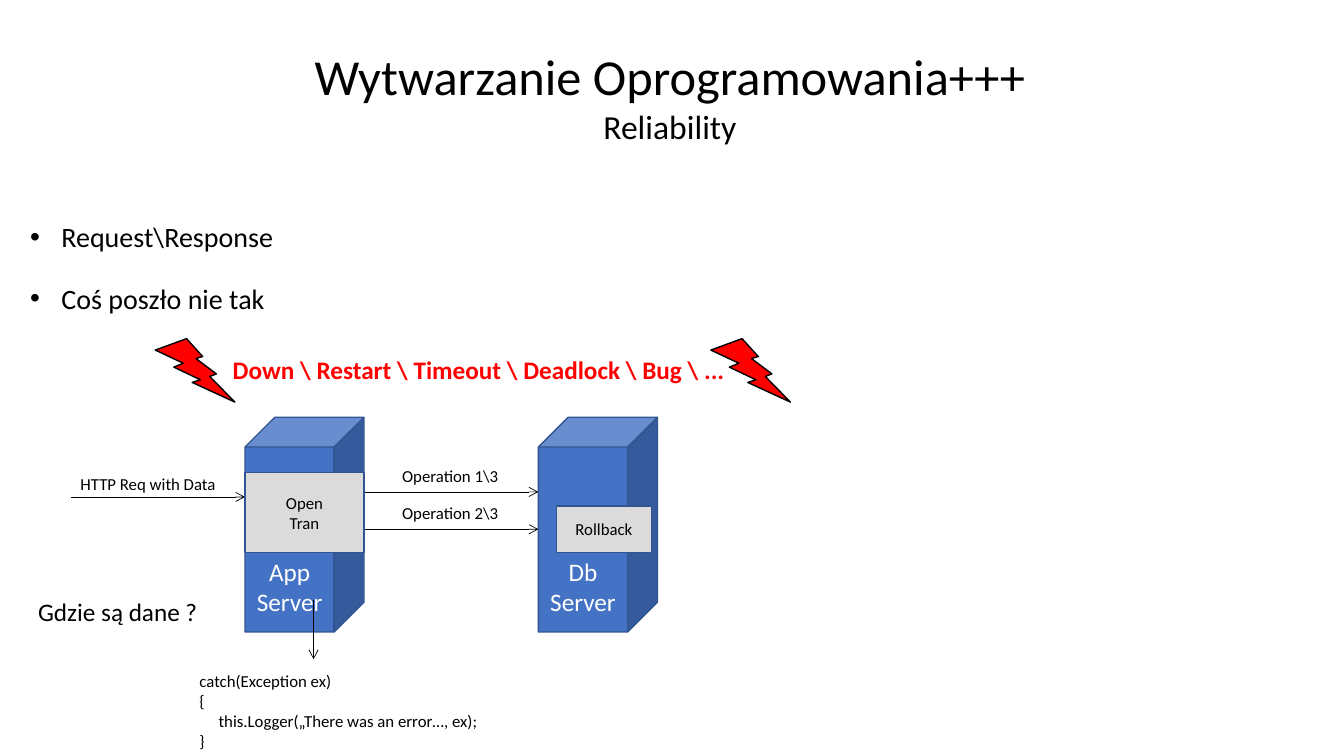
from pptx import Presentation
from pptx.dml.color import RGBColor
from pptx.enum.shapes import MSO_CONNECTOR, MSO_SHAPE
from pptx.enum.text import MSO_ANCHOR, PP_ALIGN
from pptx.oxml.ns import qn
from pptx.util import Inches, Pt
from lxml import etree

BLACK = RGBColor(0x00, 0x00, 0x00)
WHITE = RGBColor(0xFF, 0xFF, 0xFF)
RED = RGBColor(0xFF, 0x00, 0x00)
BLUE = RGBColor(0x44, 0x72, 0xC4)
DARK_BLUE = RGBColor(0x32, 0x54, 0x91)
GREY = RGBColor(0xDB, 0xDB, 0xDB)
FONT = "Calibri"


def write(frame, lines, size, color=BLACK, align=PP_ALIGN.LEFT, bold=False):
    """Fill a text frame with one paragraph per line."""
    for i, line in enumerate(lines):
        paragraph = frame.paragraphs[0] if i == 0 else frame.add_paragraph()
        paragraph.alignment = align
        run = paragraph.add_run()
        run.text = line
        run.font.name = FONT
        run.font.size = Pt(size)
        run.font.bold = bold
        run.font.color.rgb = color


def add_text(slide, box, lines, size, wrap=False, **style):
    frame = slide.shapes.add_textbox(*map(Inches, box)).text_frame
    frame.word_wrap = wrap
    write(frame, lines, size, **style)
    return frame


def add_block(slide, kind, box, fill, line):
    block = slide.shapes.add_shape(kind, *map(Inches, box))
    block.shadow.inherit = False
    block.fill.solid()
    block.fill.fore_color.rgb = fill
    block.line.color.rgb = line
    block.line.width = Pt(1)
    return block


def add_arrow(slide, x1, y1, x2, y2):
    arrow = slide.shapes.add_connector(
        MSO_CONNECTOR.STRAIGHT, *map(Inches, (x1, y1, x2, y2)))
    arrow.line.color.rgb = BLACK
    arrow.line.width = Pt(0.5)
    etree.SubElement(arrow.line._get_or_add_ln(), qn("a:tailEnd"), type="arrow")
    etree.SubElement(arrow._element.spPr, qn("a:effectLst"))


def add_heading(slide, box):
    frame = add_text(slide, box, ["Wytwarzanie Oprogramowania+++", "Reliability"],
                     36, align=PP_ALIGN.CENTER)
    frame.paragraphs[1].runs[0].font.size = Pt(24)


def add_bullets(slide, box, items, pitch=0.61):
    left, top, width, height = box
    indent = Inches(0.31)
    for i, item in enumerate(items):
        frame = add_text(slide, (left, top + i * pitch, width, height), [item], 20, wrap=True)
        props = frame.paragraphs[0]._p.get_or_add_pPr()
        props.set("marL", str(indent))
        props.set("indent", str(-indent))
        etree.SubElement(props, qn("a:buFont"), typeface="Arial")
        etree.SubElement(props, qn("a:buChar"), char="•")


def add_server(slide, box, name):
    cube = add_block(slide, MSO_SHAPE.CUBE, box, BLUE, DARK_BLUE)
    frame = cube.text_frame
    frame.word_wrap = True
    frame.vertical_anchor = MSO_ANCHOR.BOTTOM
    frame.margin_bottom = Inches(0.15)
    write(frame, [name], 18, WHITE, PP_ALIGN.CENTER)


def add_step(slide, box, lines):
    step = add_block(slide, MSO_SHAPE.RECTANGLE, box, GREY, DARK_BLUE)
    step.text_frame.word_wrap = True
    step.text_frame.vertical_anchor = MSO_ANCHOR.MIDDLE
    write(step.text_frame, lines, 12, align=PP_ALIGN.CENTER)


def add_failure_banner(slide, box):
    left, top, width, height = box
    bolt_width = 0.79
    for x in (left, left + width - bolt_width):
        add_block(slide, MSO_SHAPE.LIGHTNING_BOLT, (x, top, bolt_width, height), RED, BLACK)
    add_text(slide, (left + 0.67, top + 0.11, 5.13, 0.4),
             ["Down \\ Restart \\ Timeout \\ Deadlock \\ Bug \\ ..."],
             18, color=RED, bold=True)


def add_request_flow(slide, box):
    left, top, width, height = box
    server_width = 1.18
    app_left = left + 1.73
    app_right = app_left + server_width
    db_left = left + width - server_width

    # Servers
    add_server(slide, (app_left, top, server_width, height), "App Server")
    add_server(slide, (db_left, top, server_width, height), "Db Server")

    # Incoming request
    add_arrow(slide, left, top + 0.79, app_left, top + 0.79)
    add_text(slide, (left, top + 0.51, 1.56, 0.3), ["HTTP Req with Data"], 12)

    # Database operations
    for number in (1, 2):
        y = top + 0.74 + (number - 1) * 0.37
        add_arrow(slide, app_right, y, db_left, y)
        add_text(slide, (app_right + 0.28, y - 0.31, 1.17, 0.3),
                 [f"Operation {number}\\3"], 12)

    # Transaction steps
    add_step(slide, (app_left, top + 0.55, server_width, 0.79), ["Open", "Tran"])
    add_step(slide, (db_left + 0.18, top + 0.88, 0.94, 0.46), ["Rollback"])

    # Path to the error handler
    add_arrow(slide, app_left + 0.68, top + 1.81, app_left + 0.68, top + 2.4)


def add_error_handler(slide, box):
    code = ["catch(Exception ex)", "{", "this.Logger(„There was an error…, ex);", "}"]
    frame = add_text(slide, box, code, 12, wrap=True)
    frame.paragraphs[2]._p.get_or_add_pPr().set("marL", str(Inches(0.19)))


prs = Presentation()
prs.slide_width, prs.slide_height = Inches(13.33), Inches(7.5)
slide = prs.slides.add_slide(prs.slide_layouts[6])

add_heading(slide, (2.99, 0.4, 7.31, 1.11))
add_bullets(slide, (0.2, 2.13, 9.69, 0.44), ["Request\\Response", "Coś poszło nie tak"])
add_failure_banner(slide, (1.54, 3.36, 6.3, 0.63))
add_request_flow(slide, (0.7, 4.14, 5.82, 2.13))
add_error_handler(slide, (1.88, 6.6, 2.99, 0.91))
add_text(slide, (0.28, 5.87, 1.8, 0.4), ["Gdzie są dane ?"], 18)

prs.save("out.pptx")
